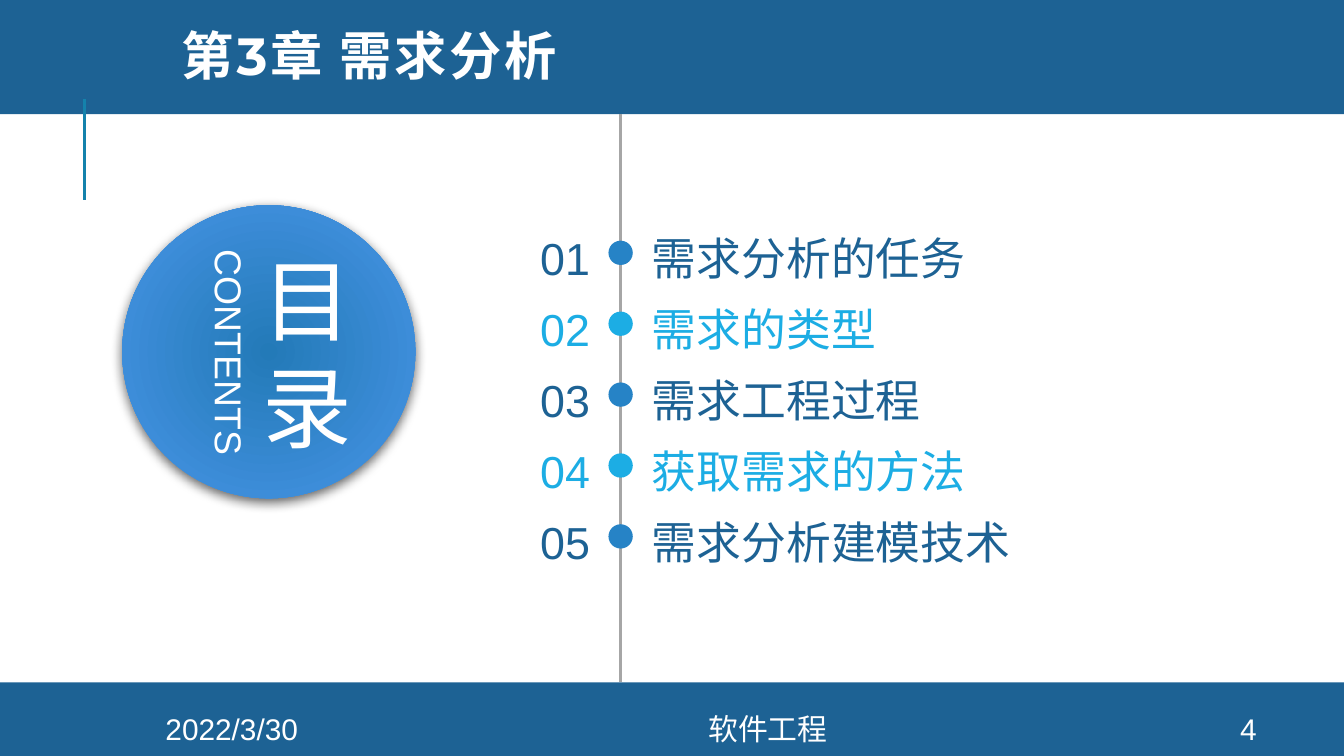
from dataclasses import dataclass

from lxml.etree import SubElement
from pptx import Presentation
from pptx.dml.color import RGBColor
from pptx.enum.shapes import MSO_CONNECTOR as Connector, MSO_SHAPE as Shape
from pptx.enum.text import MSO_ANCHOR as Anchor, MSO_AUTO_SIZE as AutoSize, PP_ALIGN as Align
from pptx.oxml.ns import qn
from pptx.util import Cm, Pt

NAVY, BLUE, CYAN = "1D6294", "2683C6", "1CADE4"
TEAL, GREY, WHITE = "1482AC", "A6A6A6", "FFFFFF"
SLIDE_WIDTH, SLIDE_HEIGHT = 25.4, 14.29
HEADER_BOTTOM, FOOTER_TOP = 2.16, 12.9
TIMELINE_X = 11.73
DOT_SIZE = 0.46
ENTRY_TOP, ENTRY_PITCH, ENTRY_HEIGHT = 4.37, 1.34, 1.02


@dataclass(frozen=True)
class Box:
    left: float
    top: float
    width: float
    height: float

    def lengths(self) -> tuple:
        return Cm(self.left), Cm(self.top), Cm(self.width), Cm(self.height)


@dataclass(frozen=True)
class Entry:
    label: str
    text_color: str
    dot_color: str
    label_width: float = 8.56


@dataclass(frozen=True)
class FooterItem:
    text: str
    left: float
    width: float


ENTRIES = [
    Entry("需求分析的任务", NAVY, BLUE),
    Entry("需求的类型", CYAN, CYAN),
    Entry("需求工程过程", NAVY, BLUE),
    Entry("获取需求的方法", CYAN, CYAN, 10.19),
    Entry("需求分析建模技术", NAVY, BLUE),
]
FOOTER_ITEMS = [
    FooterItem("2022/3/30", 2.13, 4.5),
    FooterItem("软件工程", 6.63, 15.77),
    FooterItem("4", 22.58, 2.03),
]


def rgb(color: str) -> RGBColor:
    return RGBColor.from_string(color)


def format_paragraph(paragraph, size: float, color: str, align: Align,
                     font: str = "Arial", bold: bool = False, spacing: float = 0) -> None:
    paragraph.alignment = align
    paragraph.font.name = font
    paragraph.font.size = Pt(size)
    paragraph.font.bold = bold
    paragraph.font.color.rgb = rgb(color)
    if spacing:
        properties = paragraph._p.pPr.find(qn("a:defRPr"))
        properties.set("spc", str(int(spacing * 100)))


def add_text(slide, box: Box, lines: list[str], size: float, color: str,
             align: Align = Align.CENTER, anchor: Anchor = Anchor.TOP,
             inset: bool = True, spacing: float = 0):
    shape = slide.shapes.add_textbox(*box.lengths())
    frame = shape.text_frame
    frame.word_wrap = True
    frame.vertical_anchor = anchor
    if not inset:
        frame.margin_left = frame.margin_right = 0
        frame.margin_top = frame.margin_bottom = 0
    frame.text = "\n".join(lines)
    for paragraph in frame.paragraphs:
        format_paragraph(paragraph, size, color, align, spacing=spacing)
    return shape


def add_filled(slide, kind: Shape, box: Box, color: str):
    shape = slide.shapes.add_shape(kind, *box.lengths())
    shape.shadow.inherit = False
    shape.fill.solid()
    shape.fill.fore_color.rgb = rgb(color)
    shape.line.fill.background()
    return shape


def add_vertical_line(slide, x: float, top: float, bottom: float, color: str) -> None:
    line = slide.shapes.add_connector(Connector.STRAIGHT, Cm(x), Cm(top), Cm(x), Cm(bottom))
    line.line.color.rgb = rgb(color)
    line.line.width = Pt(1.5)
    SubElement(line._element.spPr, qn("a:effectLst"))


def set_radial_gradient(shape, inner: str, outer: str) -> None:
    shape.fill.gradient()
    for stop, color in zip(shape.fill.gradient_stops, (inner, outer)):
        stop.color.rgb = rgb(color)
    gradient = shape._element.spPr.find(qn("a:gradFill"))
    gradient.remove(gradient.find(qn("a:lin")))
    radial = SubElement(gradient, qn("a:path"), path="circle")
    SubElement(radial, qn("a:fillToRect"), l="50000", t="50000", r="50000", b="50000")


def add_drop_shadow(shape) -> None:
    effects = shape._element.spPr.find(qn("a:effectLst"))
    shadow = SubElement(effects, qn("a:outerShdw"), blurRad=str(Pt(6)), dist=str(Pt(2)),
                        dir="5400000", algn="t", rotWithShape="0")
    color = SubElement(shadow, qn("a:srgbClr"), val="000000")
    SubElement(color, qn("a:alpha"), val="60000")


def add_contents_badge(slide) -> None:
    circle = add_filled(slide, Shape.OVAL, Box(2.31, 3.88, 5.54, 5.54), BLUE)
    set_radial_gradient(circle, "237AB8", "4895E7")
    add_drop_shadow(circle)
    add_text(slide, Box(4.01, 4.09, 3.58, 5.13), ["目", "录"], 48, WHITE,
             anchor=Anchor.MIDDLE, inset=False, spacing=6)
    caption = add_text(slide, Box(1.65, 6.1, 5.36, 1.12), ["CONTENTS"], 20, WHITE)
    caption.rotation = 90


def add_entry(slide, index: int, entry: Entry) -> None:
    top = ENTRY_TOP + index * ENTRY_PITCH
    dot = Box(TIMELINE_X - DOT_SIZE / 2, top + 0.18, DOT_SIZE, DOT_SIZE)
    add_filled(slide, Shape.OVAL, dot, entry.dot_color)
    add_text(slide, Box(9.65, top, 1.5, ENTRY_HEIGHT), [f"{index + 1:02}"], 24,
             entry.text_color, Align.RIGHT, inset=False)
    add_text(slide, Box(12.32, top, entry.label_width, ENTRY_HEIGHT), [entry.label], 24,
             entry.text_color, Align.LEFT, inset=False)


def place_title(slide, text: str) -> None:
    title = slide.shapes.title
    title.left, title.top, title.width, title.height = Box(3.18, 0.23, 20.98, 1.83).lengths()
    frame = title.text_frame
    frame.text = text
    frame.auto_size = AutoSize.NONE
    frame.vertical_anchor = Anchor.MIDDLE
    paragraph = frame.paragraphs[0]
    paragraph.line_spacing = 0.8
    format_paragraph(paragraph, 28, WHITE, Align.LEFT, "Montserrat", bold=True, spacing=1.5)
    slide.shapes._spTree.append(title._element)  # bring in front of the header band


def main() -> None:
    presentation = Presentation()
    presentation.slide_width, presentation.slide_height = Cm(SLIDE_WIDTH), Cm(SLIDE_HEIGHT)
    slide = presentation.slides.add_slide(presentation.slide_layouts[5])

    add_filled(slide, Shape.RECTANGLE, Box(0, -0.08, SLIDE_WIDTH, HEADER_BOTTOM + 0.08), NAVY)
    add_filled(slide, Shape.RECTANGLE,
               Box(0, FOOTER_TOP, SLIDE_WIDTH, SLIDE_HEIGHT - FOOTER_TOP), NAVY)
    add_vertical_line(slide, 1.6, 1.88, 3.78, TEAL)
    add_vertical_line(slide, TIMELINE_X, HEADER_BOTTOM, FOOTER_TOP, GREY)
    add_contents_badge(slide)
    for item in FOOTER_ITEMS:
        add_text(slide, Box(item.left, 13.49, item.width, 0.58), [item.text], 16, WHITE,
                 anchor=Anchor.MIDDLE)
    for index, entry in enumerate(ENTRIES):
        add_entry(slide, index, entry)
    place_title(slide, "第3章 需求分析")

    presentation.save("out.pptx")


if __name__ == "__main__":
    main()
